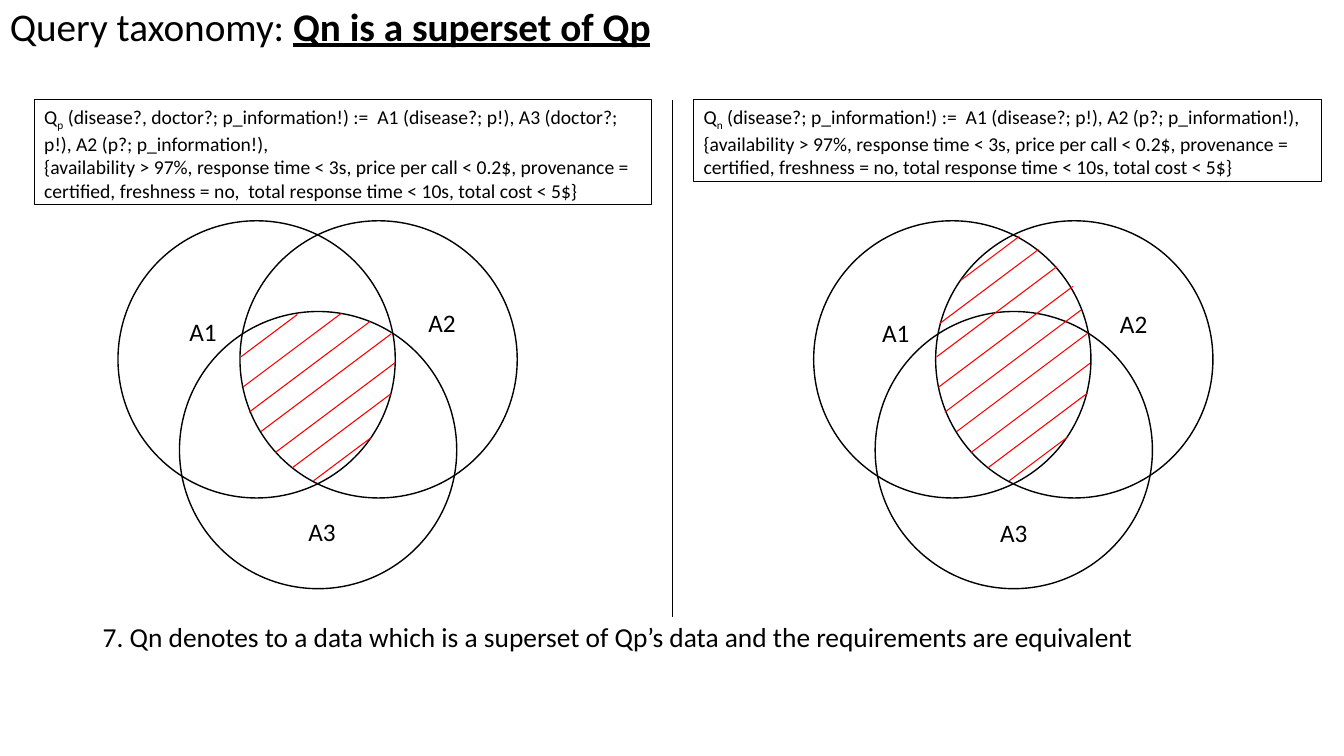
from lxml import etree
from pptx import Presentation
from pptx.dml.color import RGBColor
from pptx.enum import shapes, text
from pptx.oxml.ns import qn
from pptx.util import Inches, Pt

BLACK = RGBColor(0x00, 0x00, 0x00)
RED = RGBColor(0xFF, 0x00, 0x00)

DIAMETER = 2.75
CIRCLES = [(0, 0), (1.21, 0), (0.61, 0.9)]
SLOPE = 0.75

# Where each hatch line starts (offset in the diagram), from top to bottom
TOP_HATCHES = [(1.46, 0.59), (1.25, 1.02)]
CORE_HATCHES = [(1.22, 1.35), (1.24, 1.65), (1.3, 1.9), (1.42, 2.09),
                (1.56, 2.3), (1.73, 2.45), (1.94, 2.58)]
# Horizontal run of each hatch line
QP_RUNS = [0.56, 0.97, 1.2, 1.29, 1.19, 0.98, 0.57]
QN_RUNS = [0.58, 0.98, 1.19, 1.33, 1.35, 1.29, 1.18, 0.99, 0.58]

QP_LABELS = {"A1": (0.61, 0.9), "A2": (2.98, 0.81), "A3": (1.79, 2.88)}
QN_LABELS = {"A1": (0.58, 0.91), "A2": (2.94, 0.82), "A3": (1.75, 2.89)}


def add_text(parent, box, paragraphs, size, wrap=True,
             anchor=text.MSO_ANCHOR.TOP, **paragraph_format):
    """Add a text box; each paragraph is a list of (words, style) runs."""
    label = parent.add_textbox(*map(Inches, box))
    frame = label.text_frame
    frame.word_wrap = wrap
    frame.vertical_anchor = anchor
    for index, runs in enumerate(paragraphs):
        paragraph = frame.paragraphs[0] if index == 0 else frame.add_paragraph()
        for name, value in paragraph_format.items():
            setattr(paragraph, name, value)
        for words, style in runs:
            run = paragraph.add_run()
            run.text = words
            font_format = {"name": "Calibri", "size": Pt(size)}
            for name, value in {**font_format, **style}.items():
                if name == "baseline":
                    run._r.get_or_add_rPr().set(name, value)
                else:
                    setattr(run.font, name, value)
            run.font.color.rgb = BLACK
    return label


def add_line(parent, start, end, color, width):
    line = parent.add_connector(shapes.MSO_CONNECTOR.STRAIGHT,
                                *map(Inches, (*start, *end)))
    line.line.color.rgb = color
    line.line.width = Pt(width)
    etree.SubElement(line._element.spPr, qn("a:effectLst"))


def add_query(slide, box, subscript, signature, requirements):
    query = add_text(slide.shapes, box, [
        [("Q", {}), (subscript, {"baseline": "-25000"}), (signature, {})],
        [(requirements, {})],
    ], 14)
    query.line.color.rgb = BLACK
    query.line.width = Pt(0.75)


def add_venn(slide, left, top, hatches, runs, labels):
    """Draw three overlapping circles with a hatched query result."""
    venn = slide.shapes.add_group_shape().shapes
    for dx, dy in CIRCLES:
        circle = venn.add_shape(shapes.MSO_SHAPE.OVAL, Inches(left + dx),
                                Inches(top + dy), Inches(DIAMETER), Inches(DIAMETER))
        circle.shadow.inherit = False
        circle.fill.background()
        circle.line.color.rgb = BLACK
        circle.line.width = Pt(1)
    for (dx, dy), run in zip(hatches, runs):
        x, y = left + dx, top + dy
        add_line(venn, (x, y), (x + run, y - SLOPE * run), RED, 0.75)
    for name, (dx, dy) in labels.items():
        add_text(venn, (left + dx, top + dy, 0.48, 0.4), [[(name, {})]], 18, wrap=False)


def add_title(slide, box):
    add_text(slide.shapes, box, [[
        ("Query taxonomy: ", {}),
        ("Qn is a superset of Qp", {"bold": True, "underline": True}),
    ]], 28, anchor=text.MSO_ANCHOR.MIDDLE, line_spacing=0.9)


def add_conclusion(slide, box):
    add_text(slide.shapes, box, [[
        ("7. Qn denotes to a data which is a superset of Qp’s data "
         "and the requirements are equivalent", {}),
    ]], 19.6, line_spacing=0.7, alignment=text.PP_ALIGN.JUSTIFY)


def main():
    deck = Presentation()
    deck.slide_width, deck.slide_height = Inches(13.33), Inches(7.5)
    slide = deck.slides.add_slide(deck.slide_layouts[6])

    add_title(slide, (0, 0, 11.5, 0.57))
    add_query(slide, (0.34, 0.99, 6.12, 1.04), "p",
              " (disease?, doctor?; p_information!) :=  A1 (disease?; p!), "
              "A3 (doctor?; p!), A2 (p?; p_information!),",
              "{availability > 97%, response time < 3s, price per call < 0.2$, "
              "provenance = certified, freshness = no,  total response time < 10s, "
              "total cost < 5$}")
    add_query(slide, (6.88, 0.99, 6.23, 0.81), "n",
              " (disease?; p_information!) :=  A1 (disease?; p!), "
              "A2 (p?; p_information!),",
              "{availability > 97%, response time < 3s, price per call < 0.2$, "
              "provenance = certified, freshness = no, total response time < 10s, "
              "total cost < 5$}")
    add_venn(slide, 1.17, 2.19, CORE_HATCHES, QP_RUNS, QP_LABELS)
    add_venn(slide, 8.07, 2.19, TOP_HATCHES + CORE_HATCHES, QN_RUNS, QN_LABELS)
    add_line(slide.shapes, (6.67, 0.99), (6.67, 6.12), BLACK, 0.5)
    add_conclusion(slide, (0.92, 6.19, 11.5, 0.56))

    deck.save("out.pptx")


if __name__ == "__main__":
    main()
